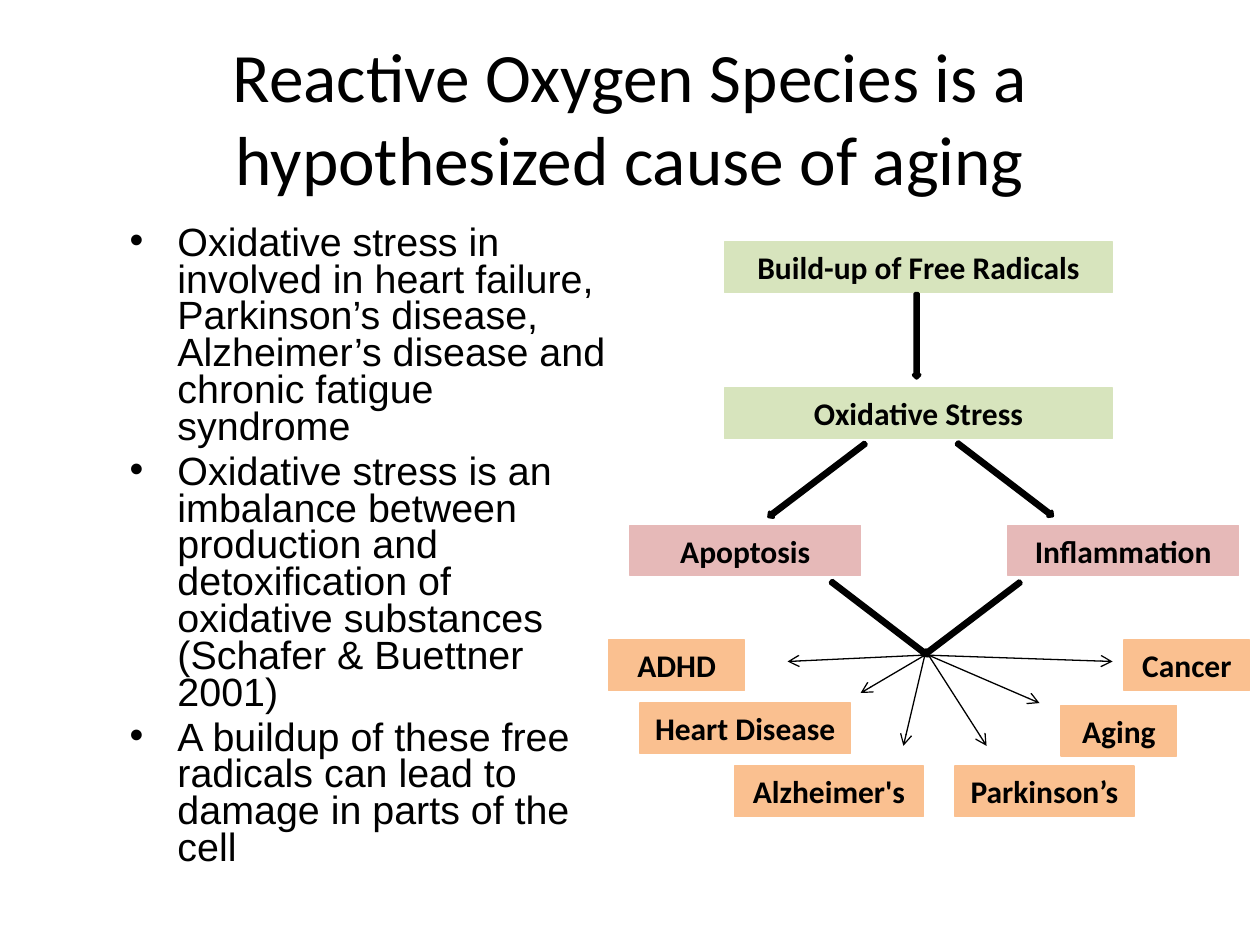
import dataclasses

import pptx
import pptx.dml.color
import pptx.enum.shapes
import pptx.enum.text
import pptx.oxml.ns
import pptx.util
from lxml import etree

Inches = pptx.util.Inches
Pt = pptx.util.Pt
Shape = pptx.enum.shapes.MSO_SHAPE
Align = pptx.enum.text.PP_ALIGN
Anchor = pptx.enum.text.MSO_ANCHOR
qn = pptx.oxml.ns.qn


@dataclasses.dataclass(frozen=True)
class Theme:
    ink: str = "000000"
    source: str = "D7E4BD"
    process: str = "E6B9B8"
    outcome: str = "FAC090"
    heading_font: str = "Calibri"
    body_font: str = "Arial"
    title_size: float = 39.6
    body_size: float = 22.5
    label_size: float = 18
    thin_line: float = 0.75
    thick_line: float = 2


def color(value):
    return pptx.dml.color.RGBColor.from_string(value)


def write_text(paragraph, text, *, font, size, ink, bold=False, align=Align.LEFT):
    paragraph.alignment = align
    run = paragraph.add_run()
    run.text = text
    run.font.name = font
    run.font.size = Pt(size)
    run.font.bold = bold
    run.font.color.rgb = color(ink)


def add_bullet(paragraph, indent, hanging):
    properties = paragraph._p.get_or_add_pPr()
    properties.set("marL", str(Inches(indent)))
    properties.set("indent", str(-Inches(hanging)))
    etree.SubElement(properties, qn("a:buFont")).set("typeface", "Arial")
    etree.SubElement(properties, qn("a:buChar")).set("char", "•")


class SlideBuilder:
    def __init__(self, slide, theme):
        self.slide = slide
        self.theme = theme

    def text_frame(self, left, top, width, height):
        box = self.slide.shapes.add_textbox(
            Inches(left), Inches(top), Inches(width), Inches(height))
        box.text_frame.word_wrap = True
        return box.text_frame

    def title(self, text, *place):
        frame = self.text_frame(*place)
        frame.vertical_anchor = Anchor.MIDDLE
        write_text(frame.paragraphs[0], text, font=self.theme.heading_font,
                   size=self.theme.title_size, ink=self.theme.ink, align=Align.CENTER)

    def bullets(self, items, *place):
        frame = self.text_frame(*place)
        for index, item in enumerate(items):
            paragraph = frame.add_paragraph() if index else frame.paragraphs[0]
            paragraph.line_spacing = 0.78
            paragraph.space_before = Pt(0.2 * self.theme.body_size)
            add_bullet(paragraph, 0.81, 0.38)
            write_text(paragraph, item, font=self.theme.body_font,
                       size=self.theme.body_size, ink=self.theme.ink)

    def filled_shape(self, kind, fill, line_width, left, top, width, height):
        shape = self.slide.shapes.add_shape(
            kind, Inches(left), Inches(top), Inches(width), Inches(height))
        shape.shadow.inherit = False
        shape.fill.solid()
        shape.fill.fore_color.rgb = color(fill)
        shape.line.color.rgb = color(fill)
        shape.line.width = Pt(line_width)
        return shape

    def label(self, text, fill, left, top, width, height=0.4):
        shape = self.filled_shape(Shape.RECTANGLE, fill, self.theme.thin_line,
                                  left, top, width, height)
        frame = shape.text_frame
        frame.word_wrap = True
        frame.auto_size = pptx.enum.text.MSO_AUTO_SIZE.SHAPE_TO_FIT_TEXT
        frame.vertical_anchor = Anchor.TOP
        write_text(frame.paragraphs[0], text, font=self.theme.heading_font,
                   size=self.theme.label_size, ink=self.theme.ink, bold=True,
                   align=Align.CENTER)

    def thick_arrow(self, left, top, length, rotation=0):
        shape = self.filled_shape(Shape.DOWN_ARROW, self.theme.ink,
                                  self.theme.thick_line, left, top, 0.05, length)
        shape.rotation = rotation

    def thin_arrow(self, start, end):
        connector = self.slide.shapes.add_connector(
            pptx.enum.shapes.MSO_CONNECTOR.STRAIGHT,
            *(Inches(value) for value in (*start, *end)))
        connector.line.color.rgb = color(self.theme.ink)
        connector.line.width = Pt(self.theme.thin_line)
        line = connector.line._get_or_add_ln()
        etree.SubElement(line, qn("a:tailEnd")).set("type", "arrow")
        etree.SubElement(connector._element.spPr, qn("a:effectLst"))


def main():
    presentation = pptx.Presentation()
    presentation.slide_width = Inches(10)
    presentation.slide_height = Inches(7.5)
    slide = presentation.slides.add_slide(presentation.slide_layouts[6])
    theme = Theme()
    builder = SlideBuilder(slide, theme)

    builder.title("Reactive Oxygen Species is a hypothesized cause of aging",
                  0.5, 0.3, 9, 1.25)
    builder.bullets([
        "Oxidative stress in involved in heart failure, Parkinson’s disease, "
        "Alzheimer’s disease and chronic fatigue syndrome",
        "Oxidative stress is an imbalance between production and detoxification "
        "of oxidative substances (Schafer & Buettner 2001)",
        "A buildup of these free radicals can lead to damage in parts of the cell",
    ], 0.5, 1.75, 4.42, 4.95)

    for text, fill, left, top, width in [
        ("Build-up of Free Radicals", theme.source, 5.75, 1.92, 3.08),
        ("Oxidative Stress", theme.source, 5.75, 3.08, 3.08),
        ("Inflammation", theme.process, 8, 4.17, 1.83),
        ("Apoptosis", theme.process, 5, 4.17, 1.83),
        ("Alzheimer's", theme.outcome, 5.83, 6.08, 1.5),
        ("Cancer", theme.outcome, 8.92, 5.08, 1),
        ("Parkinson’s", theme.outcome, 7.58, 6.08, 1.42),
        ("Heart Disease", theme.outcome, 5.08, 5.58, 1.67),
        ("Aging", theme.outcome, 8.42, 5.6, 0.92),
        ("ADHD", theme.outcome, 4.83, 5.08, 1.08),
    ]:
        builder.label(text, fill, left, top, width)

    to_right, to_left = 307.4, 52.8
    builder.thick_arrow(7.25, 2.33, 0.67)
    builder.thick_arrow(6.95, 4.43, 0.95, to_right)
    builder.thick_arrow(7.69, 4.43, 0.96, to_left)

    hub_top = 5.2
    for hub_left, end in [
        (7.37, (7.83, 5.92)),
        (7.37, (8.25, 5.58)),
        (7.37, (8.83, 5.25)),
        (7.32, (6.25, 5.25)),
        (7.34, (7.17, 5.92)),
        (7.34, (6.83, 5.5)),
    ]:
        builder.thin_arrow((hub_left, hub_top), end)

    builder.thick_arrow(7.95, 3.33, 0.95, to_right)
    builder.thick_arrow(6.46, 3.33, 0.96, to_left)

    presentation.save("out.pptx")


if __name__ == "__main__":
    main()
